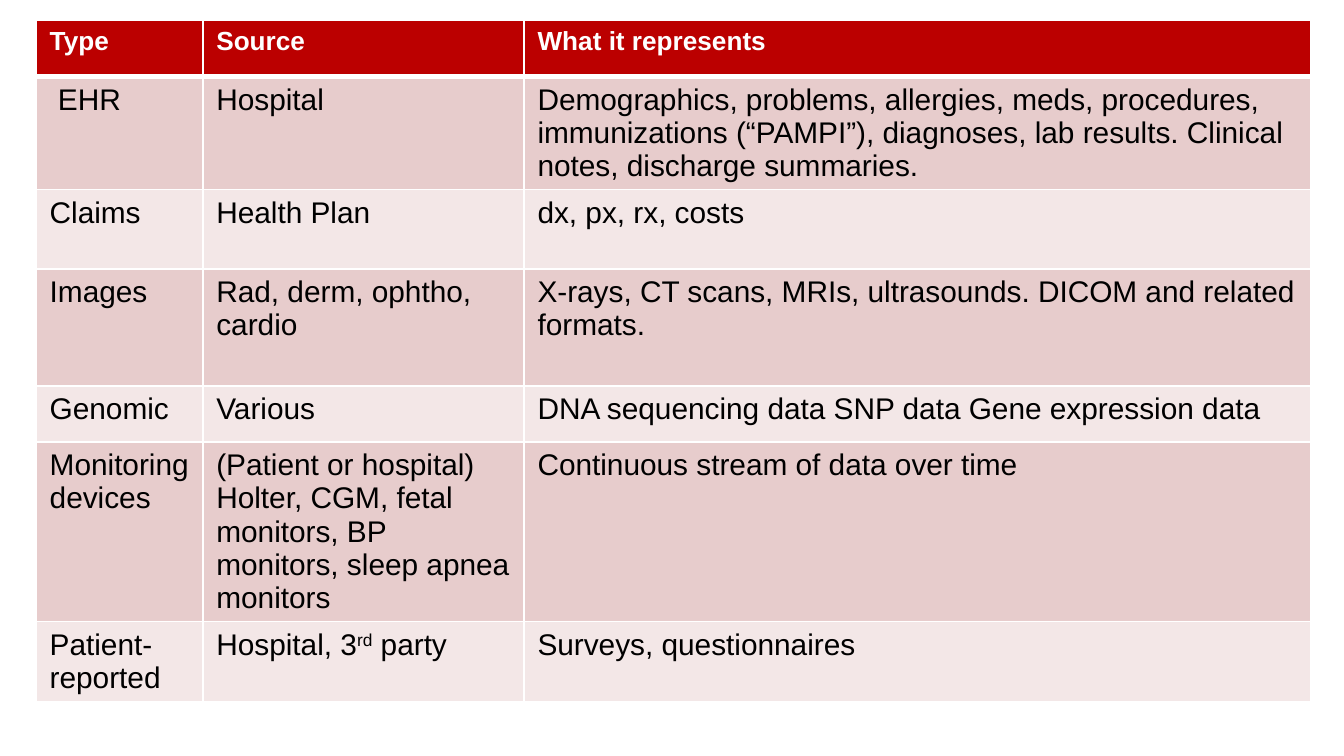
from dataclasses import dataclass

from lxml import etree
from pptx import Presentation
from pptx.dml.color import RGBColor
from pptx.oxml import ns
from pptx.util import Inches, Pt


@dataclass(frozen=True)
class Theme:
    font: str = "Arial"
    header_size: int = 14
    body_size: int = 16
    header_fill: str = "BB0000"
    band_fills: tuple = ("E7CCCC", "F3E7E7")
    header_text: str = "FFFFFF"
    body_text: str = "000000"
    border: str = "FFFFFF"
    thin: int = 1
    thick: int = 3


THEME = Theme()
COLUMN_WIDTHS = (1.24, 2.39, 5.85)
ROW_HEIGHTS = (0.42, 0.8, 0.59, 0.87, 0.42, 0.95, 0.57)
SUPERSCRIPT = "30000"

# A cell is a string, or a tuple of runs in which every second run is superscript.
DATA_SOURCES = (
    ("Type", "Source", "What it represents"),
    (" EHR", "Hospital",
     "Demographics, problems, allergies, meds, procedures, immunizations "
     "(“PAMPI”), diagnoses, lab results. Clinical notes, discharge summaries."),
    ("Claims", "Health Plan", "dx, px, rx, costs"),
    ("Images", "Rad, derm, ophtho, cardio",
     "X-rays, CT scans, MRIs, ultrasounds. DICOM and related formats."),
    ("Genomic", "Various", "DNA sequencing data SNP data Gene expression data"),
    ("Monitoring devices",
     "(Patient or hospital) Holter, CGM, fetal monitors, BP monitors, "
     "sleep apnea monitors",
     "Continuous stream of data over time"),
    ("Patient-reported", ("Hospital, 3", "rd", " party"),
     "Surveys, questionnaires"),
)


def set_borders(cell, top, bottom):
    """Draw all four borders; top and bottom are widths in points."""
    properties = cell._tc.get_or_add_tcPr()
    widths = {"L": THEME.thin, "R": THEME.thin, "T": top, "B": bottom}
    for side, width in widths.items():
        line = etree.SubElement(properties, ns.qn(f"a:ln{side}"), w=str(Pt(width)))
        fill = etree.SubElement(line, ns.qn("a:solidFill"))
        etree.SubElement(fill, ns.qn("a:srgbClr"), val=THEME.border)


def write_text(cell, content, is_header):
    runs = (content,) if isinstance(content, str) else content
    paragraph = cell.text_frame.paragraphs[0]
    for index, words in enumerate(runs):
        run = paragraph.add_run()
        run.text = words
        font = run.font
        font.name = THEME.font
        font.bold = is_header
        font.size = Pt(THEME.header_size if is_header else THEME.body_size)
        font.color.rgb = RGBColor.from_string(
            THEME.header_text if is_header else THEME.body_text)
        if index % 2:
            font._element.set("baseline", SUPERSCRIPT)


def format_cell(cell, row):
    set_borders(cell,
                top=THEME.thick if row == 1 else THEME.thin,
                bottom=THEME.thick if row == 0 else THEME.thin)
    color = THEME.band_fills[(row - 1) % 2] if row else THEME.header_fill
    cell.fill.solid()
    cell.fill.fore_color.rgb = RGBColor.from_string(color)


def add_source_table(slide):
    table = slide.shapes.add_table(
        len(ROW_HEIGHTS), len(COLUMN_WIDTHS), Inches(0.27), Inches(0.15),
        Inches(sum(COLUMN_WIDTHS)), Inches(sum(ROW_HEIGHTS))).table
    for column, width in zip(table.columns, COLUMN_WIDTHS):
        column.width = Inches(width)
    for row, height in zip(table.rows, ROW_HEIGHTS):
        row.height = Inches(height)
    for row, contents in enumerate(DATA_SOURCES):
        for column, content in enumerate(contents):
            cell = table.cell(row, column)
            format_cell(cell, row)
            write_text(cell, content, is_header=row == 0)


def main():
    presentation = Presentation()
    presentation.slide_width = Inches(10)
    presentation.slide_height = presentation.slide_width * 9 // 16
    blank_layout = presentation.slide_layouts[6]
    add_source_table(presentation.slides.add_slide(blank_layout))
    presentation.save("out.pptx")


if __name__ == "__main__":
    main()
